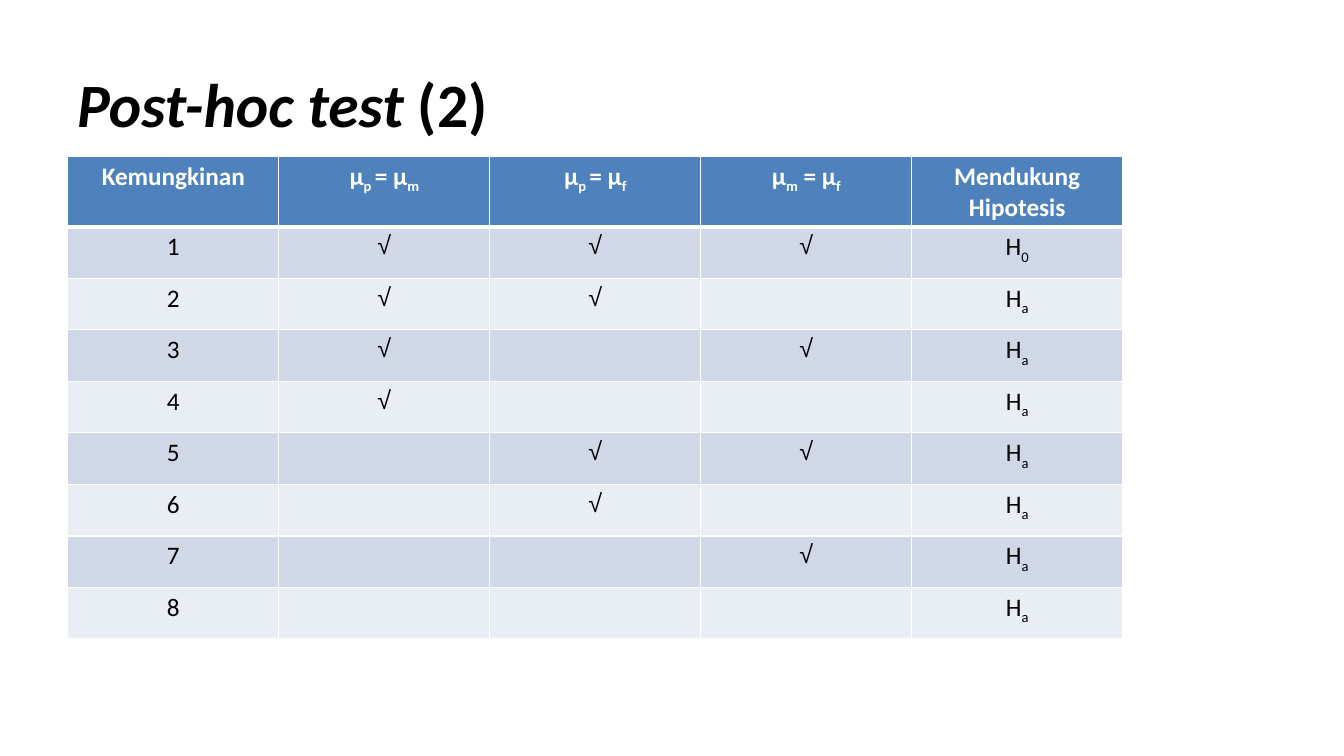
from pptx import Presentation
from pptx.dml.color import RGBColor
from pptx.enum import text
from pptx.oxml.ns import qn
from pptx.util import Pt
from lxml import etree

HEADERS = ["Kemungkinan", "μ|p |= μ|m", "μ|p |= μ|f", "μ|m| = μ|f", "Mendukung Hipotesis"]
CHECKS = ["√√√", "√√ ", "√ √", "√  ", " √√", " √ ", "  √", "   "]
HEADER_FILL, BANDS = "4F81BD", ("D0D8E8", "E9EDF4")
WHITE, BLACK = "FFFFFF", "000000"


def rgb(value):
    return RGBColor.from_string(value)


def set_font(font, size, color, bold, name="Calibri"):
    font.size, font.bold, font.name = Pt(size), bold, name
    font.color.rgb = rgb(color)


def add_title(s, italic_part, plain_part):
    tf = s.shapes.add_textbox(Pt(48), Pt(36), Pt(864), Pt(75.6)).text_frame
    tf.word_wrap = True
    tf.vertical_anchor = text.MSO_ANCHOR.MIDDLE
    p = tf.paragraphs[0]
    set_font(p.font, 44, BLACK, True)
    for content, italic in ((italic_part, True), (plain_part, False)):
        r = p.add_run()
        r.text = content
        r.font.italic = italic


def set_borders(cell, top, bottom):
    tc_pr = cell._tc.get_or_add_tcPr()
    for side, width in (("L", 1), ("R", 1), ("T", top), ("B", bottom)):
        ln = etree.SubElement(tc_pr, qn(f"a:ln{side}"), w=str(Pt(width)))
        fill = etree.SubElement(ln, qn("a:solidFill"))
        etree.SubElement(fill, qn("a:srgbClr"), val=WHITE)


def fill_cell(cell, content, fill, color, bold):
    cell.fill.solid()
    cell.fill.fore_color.rgb = rgb(fill)
    p = cell.text_frame.paragraphs[0]
    p.alignment = text.PP_ALIGN.CENTER
    set_font(p.font, 18, color, bold, "Arial" if content == "√" else "Calibri")
    for i, part in enumerate(content.split("|")):
        r = p.add_run()
        r.text = part
        if i % 2:
            r._r.get_or_add_rPr().set("baseline", "-25000")


def add_hypothesis_table(s):
    rows = [HEADERS]
    for number, checks in enumerate(CHECKS, 1):
        support = "H|0" if number == 1 else "H|a"
        rows.append([str(number), *(mark.strip() for mark in checks), support])
    row_height, column_width = Pt(36.8), Pt(150.7)
    table = s.shapes.add_table(
        len(rows), len(HEADERS), Pt(48.5), Pt(111.6),
        column_width * len(HEADERS), row_height * len(rows)).table
    for column in table.columns:
        column.width = column_width
    for i, row in enumerate(rows):
        table.rows[i].height = row_height
        header = i == 0
        fill = HEADER_FILL if header else BANDS[(i - 1) % 2]
        for j, content in enumerate(row):
            cell = table.cell(i, j)
            set_borders(cell, 3 if i == 1 else 1, 3 if header else 1)
            fill_cell(cell, content, fill, WHITE if header else BLACK, header)


def main():
    prs = Presentation()
    prs.slide_width, prs.slide_height = Pt(960), Pt(540)
    s = prs.slides.add_slide(prs.slide_layouts[6])
    add_title(s, "Post-hoc test ", "(2)")
    add_hypothesis_table(s)
    prs.save("out.pptx")


if __name__ == "__main__":
    main()
